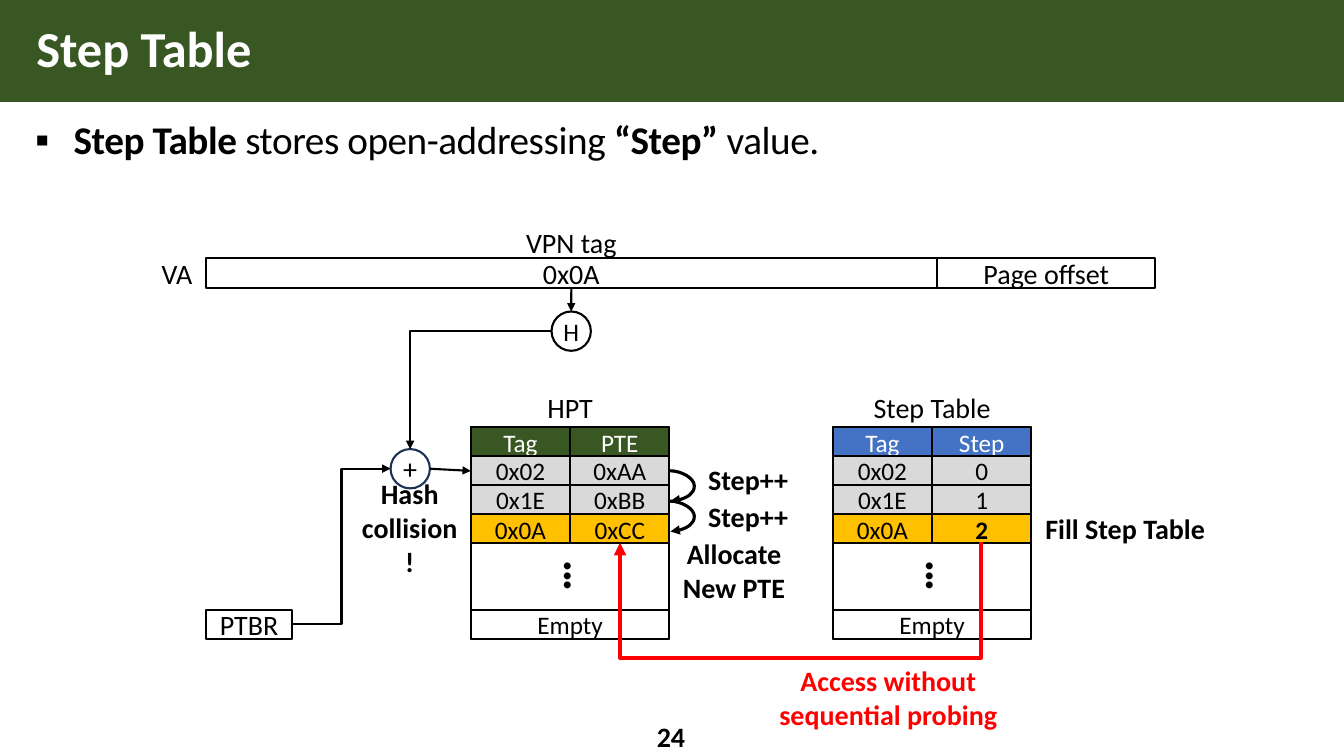
from pptx import Presentation
from pptx.dml.color import RGBColor
from pptx.enum.shapes import MSO_CONNECTOR, MSO_SHAPE
from pptx.enum.text import MSO_ANCHOR, PP_ALIGN
from pptx.oxml.ns import qn
from pptx.util import Inches, Pt
from lxml import etree

RECT, OVAL = MSO_SHAPE.RECTANGLE, MSO_SHAPE.OVAL
LINE, ELBOW, CURVE = MSO_CONNECTOR.STRAIGHT, MSO_CONNECTOR.ELBOW, MSO_CONNECTOR.CURVE
CENTER, LEFT = PP_ALIGN.CENTER, PP_ALIGN.LEFT
MIDDLE, TOP = MSO_ANCHOR.MIDDLE, MSO_ANCHOR.TOP

BLACK = RGBColor(0, 0, 0)
WHITE = RGBColor(255, 255, 255)
GREEN = RGBColor(0x38, 0x57, 0x23)
BLUE = RGBColor(0x44, 0x72, 0xC4)
GRAY = RGBColor(0xD9, 0xD9, 0xD9)
GOLD = RGBColor(0xFF, 0xC0, 0)
NAVY = RGBColor(0x1E, 0x32, 0x56)
RED = RGBColor(255, 0, 0)

WIDE, HIGH = 13.33, 7.5
ROWS = 7.3


def style(font, size, color=BLACK, bold=False):
    """Apply the type style to a font."""
    for name, value in {"name": "Calibri", "size": Pt(size), "bold": bold}.items():
        setattr(font, name, value)
    font.color.rgb = color


def write(shape, text, size=20, color=BLACK, bold=False, inset=0):
    """Write centred lines into a shape."""
    frame = shape.text_frame
    look = {"word_wrap": True, "vertical_anchor": MIDDLE,
            "margin_left": Inches(inset), "margin_right": Inches(inset),
            "margin_top": 0, "margin_bottom": 0}
    for name, value in look.items():
        setattr(frame, name, value)
    frame.text = text
    for para in frame.paragraphs:
        para.alignment = CENTER
        style(para.font, size, color, bold)


def label(slide, box, text, size=20, color=BLACK, bold=False, inset=0.1):
    """Add a text box."""
    shape = slide.shapes.add_textbox(*map(Inches, box))
    write(shape, text, size, color, bold, inset)
    return shape


def block(slide, box, text="", fill=WHITE, size=18, ink=BLACK, bold=False,
          kind=RECT, edge=BLACK):
    """Add an outlined shape with text."""
    shape = slide.shapes.add_shape(kind, *map(Inches, box))
    shape.shadow.inherit = False
    shape.fill.solid()
    shape.fill.fore_color.rgb = fill
    shape.line.color.rgb = edge
    shape.line.width = Pt(1.5)
    if text:
        write(shape, text, size, ink, bold)
    return shape


def arrow(slide, kind, start, end, color=BLACK, width=1.5, bend=None, form=None, turn=0):
    """Add a connector that ends in an arrowhead."""
    link = slide.shapes.add_connector(kind, *map(Inches, start + end))
    link.line.color.rgb = color
    link.line.width = Pt(width)
    props = link._element.spPr
    etree.SubElement(link.line._get_or_add_ln(), qn("a:tailEnd"), type="triangle")
    etree.SubElement(props, qn("a:effectLst"))
    geom = props.find(qn("a:prstGeom"))
    if form:
        geom.set("prst", form)
    if bend:
        etree.SubElement(geom.find(qn("a:avLst")), qn("a:gd"),
                         name="adj1", fmla=f"val {round(bend * 100000)}")
    if turn:
        props.find(qn("a:xfrm")).set("rot", str(turn * 60000))
    return link


def place(shape, box, anchor, insets):
    """Move a placeholder and set its frame."""
    for name, value in zip(("left", "top", "width", "height"), box):
        setattr(shape, name, Inches(value))
    frame = shape.text_frame
    frame.vertical_anchor = anchor
    for side, value in zip(("left", "top", "right", "bottom"), insets):
        setattr(frame, "margin_" + side, Inches(value))
    para = frame.paragraphs[0]
    para.alignment = LEFT
    para.line_spacing = 0.9
    para.space_before = Pt(0)
    return para


def header(slide, box, text):
    """Place the title on its banner."""
    x, y, w, h = box
    banner = block(slide, box, fill=GREEN)
    banner.line.fill.background()
    title = slide.shapes.title
    title._element.addprevious(banner._element)
    para = place(title, (x + 0.26, y, w - 0.55, h), MIDDLE, (0.1, 0.05, 0.1, 0.05))
    run = para.add_run()
    run.text = text
    style(run.font, 36, WHITE, True)


def bullet(slide, box, parts):
    """Fill the body with one bullet of plain and bold parts."""
    para = place(slide.placeholders[1], box, TOP, (0.08, 0.08, 0.04, 0))
    props = para._p.get_or_add_pPr()
    props.set("marL", str(Inches(0.38)))
    props.set("indent", str(-Inches(0.38)))
    etree.SubElement(props, qn("a:buFont"), typeface="Calibri")
    etree.SubElement(props, qn("a:buChar"), char="▪")
    for text, bold in parts:
        run = para.add_run()
        run.text = text
        style(run.font, 28, BLACK, bold)
        run._r.get_or_add_rPr().set("spc", "-30")


def address(slide, box):
    """Draw the virtual address bar and return its tag field."""
    x, y, w, h = box
    half, part = h / 2, w * 0.77
    block(slide, (x + part, y + half, w - part, half), "Page offset", size=20)
    tag = block(slide, (x, y + half, part, half), "0x0A", size=20)
    label(slide, (x - 0.57, y + half, 0.57, half), "VA")
    label(slide, (x, y, part, half), "VPN tag")
    return tag


def table(slide, box, name, heads, rows, tint, strong=False):
    """Draw a lookup table and return its cells by row."""
    x, y, w, h = box
    col, row = w / 2, h / ROWS
    block(slide, box)
    label(slide, (x, y - 0.31, w, 0.23), name)
    cells = []
    for r, texts in enumerate([heads] + rows):
        last = r == len(rows)
        fill = tint if r == 0 else GOLD if last else GRAY
        ink = WHITE if r == 0 else BLACK
        cells.append([block(slide, (x + c * col, y + r * row, col, row), text, fill,
                            ink=ink, bold=strong and last and c == 1)
                      for c, text in enumerate(texts)])
    dots = label(slide, (x + col - 0.27, y + h * 0.7 - 0.11, 0.53, 0.23), "•••", 14, inset=0)
    dots.rotation = 90
    block(slide, (x, y + h - row, w, row), "Empty")
    return cells


def hashing(slide, box, tag, cell):
    """Draw the hash path from the tag field to the first table row."""
    x, y, w, h = box
    d, row = 0.39, 0.29
    left, mid = x + w * 0.48, y + h * 0.42
    block(slide, (x + w - d, y, d, d), "H", kind=OVAL)
    block(slide, (left, mid, d, d), "+", size=20, kind=OVAL, edge=NAVY)
    block(slide, (x, y + h - row, 0.86, row), "PTBR", size=20)
    top, level = x + w - d / 2, mid + d / 2
    arrow(slide, LINE, (top, y - 0.23), (top, y)).begin_connect(tag, 2)
    arrow(slide, ELBOW, (x + 0.86, y + h - row / 2), (left, level))
    arrow(slide, LINE, (left + d, level), (left + d + 0.41, level)).end_connect(cell, 1)
    arrow(slide, ELBOW, (x + w - d, y + d / 2), (left + d / 2, mid), form="bentConnector2")
    label(slide, (left - 0.41, mid + 0.4, 1.2, 0.75), "Hash collision!", bold=True)


def probing(slide, box):
    """Draw the step arrows and notes beside the hashed page table."""
    x, y, w, h = box
    row = h / 4.35
    for n in range(2):
        top = y + 0.06 + n * row
        arrow(slide, CURVE, (x, top), (x + 0.01, top + row), width=2.25, bend=25)
        label(slide, (x + 0.23, y + n * 0.36, 1.1, 0.3), "Step++", bold=True)
    label(slide, (x - 0.02, y + h - 0.53, w, 0.53), "Allocate\nNew PTE", bold=True)


def shortcut(slide, box):
    """Draw the direct access path below both tables."""
    x, y, w, h = box
    mid, thin = x + w / 2, 0.01
    arrow(slide, ELBOW, (mid - thin / 2, y - w / 2), (mid + thin / 2, y + w / 2),
          RED, 3, bend=h / thin, turn=90)
    label(slide, (x + 1.23, y + h + 0.13, 2.86, 0.48),
          "Access without sequential probing", color=RED, bold=True)


def main():
    """Build the slide."""
    deck = Presentation()
    deck.slide_width, deck.slide_height = Inches(WIDE), Inches(HIGH)
    slide = deck.slides.add_slide(deck.slide_layouts[1])
    header(slide, (0, 0, WIDE, 1.01), "Step Table")
    bullet(slide, (0.27, 1.12, 12.78, 5.77),
           [("Step Table ", True), ("stores open-addressing ", False),
            ("“Step” ", True), ("value.", False)])
    tag = address(slide, (2.04, 2.25, 9.42, 0.61))
    keys = ["0x02", "0x1E", "0x0A"]
    cells = table(slide, (4.67, 4.24, 1.97, 2.1), "HPT", ("Tag", "PTE"),
                  list(zip(keys, ["0xAA", "0xBB", "0xCC"])), GREEN)
    table(slide, (8.26, 4.24, 1.97, 2.1), "Step Table", ("Tag", "Step"),
          list(zip(keys, "012")), BLUE, True)
    hashing(slide, (2.04, 3.09, 3.82, 3.25), tag, cells[1][0])
    probing(slide, (6.64, 4.61, 1.32, 1.31))
    shortcut(slide, (6.15, 5.38, 3.58, 1.17))
    label(slide, (10.22, 5.09, 1.88, 0.3), "Fill Step Table", bold=True)
    label(slide, (5.93, 7.1, 1.45, 0.4), "24", bold=True)
    deck.save("out.pptx")


if __name__ == "__main__":
    main()
